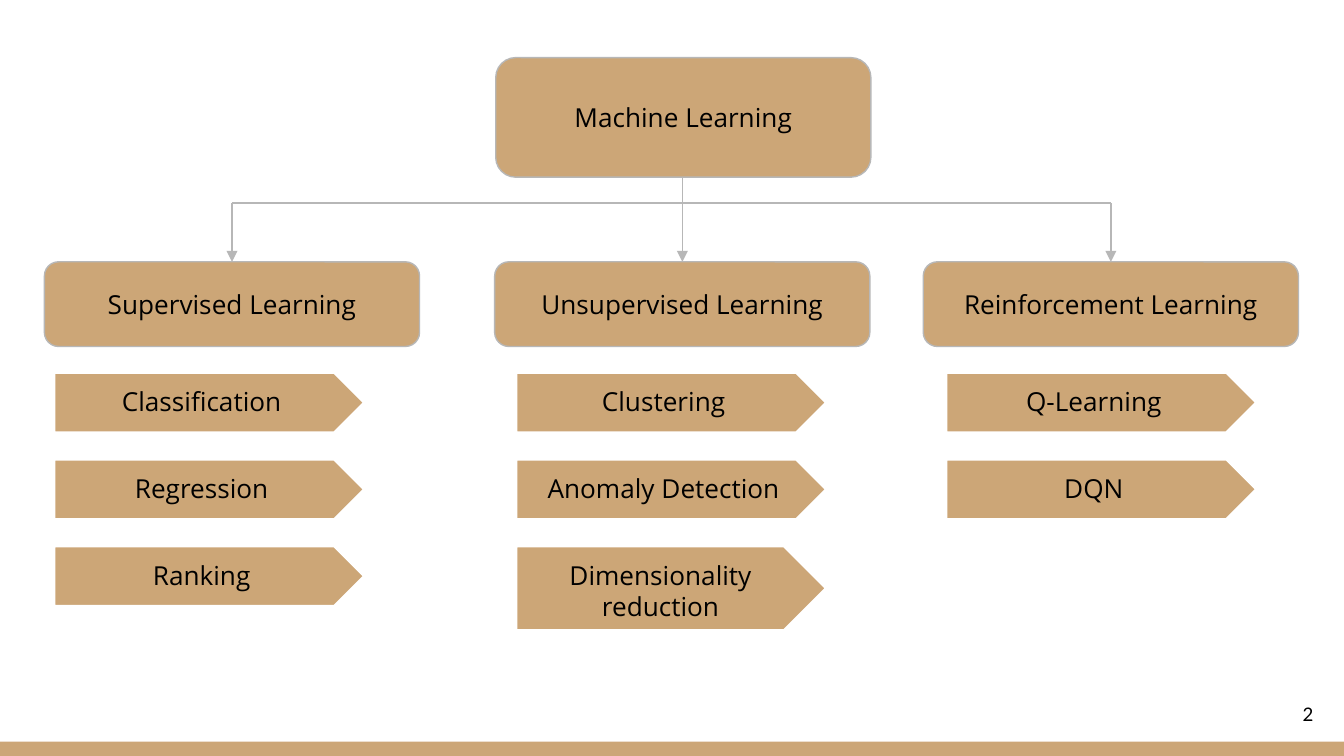
"""Build a one-slide tree of machine learning types and their tasks."""
from lxml.etree import SubElement
from pptx import Presentation
from pptx.dml.color import RGBColor
from pptx.enum.shapes import MSO_CONNECTOR, MSO_SHAPE as Shape
from pptx.enum.text import MSO_ANCHOR as Anchor, PP_ALIGN as Align
from pptx.oxml.ns import qn
from pptx.util import Cm, Pt

TAN, GREY, WHITE, BLACK = "CCA677", "B7B7B7", "FFFFFF", "000000"

ROOT = "Machine Learning"
BRANCHES = [
    ("Supervised Learning", 0.84, 1.02,
     [("Classification", 1.14), ("Regression", 1.14), ("Ranking", 1.14)]),
    ("Unsupervised Learning", 9.35, 9.75,
     [("Clustering", 1.14), ("Anomaly Detection", 1.14),
      ("Dimensionality reduction", 1.6)]),
    ("Reinforcement Learning", 17.45, 17.88,
     [("Q-Learning", 1.14), ("DQN", 1.14)]),
]
PAGE_NUMBER = "2"

PAGE_WIDTH, PAGE_HEIGHT = 25.4, 14.29
FOOTER_HEIGHT = 0.27
BOX_WIDTH = 7.09
ROOT_LEFT, ROOT_TOP, ROOT_HEIGHT = 9.37, 1.09, 2.26
BRANCH_TOP, BRANCH_HEIGHT = 4.95, 1.6
TASK_TOP, TASK_PITCH, TASK_WIDTH = 7.04, 1.64, 5.87
RAIL_TOP = 3.84


def color(value):
    return RGBColor.from_string(value)


def write(box, text, size=14, font="Open Sans", align=Align.CENTER,
          anchor=Anchor.MIDDLE):
    frame = box.text_frame
    frame.word_wrap = True
    frame.vertical_anchor = anchor
    frame.margin_left = frame.margin_right = Cm(0.25)
    frame.margin_top = frame.margin_bottom = Cm(0.25)
    para = frame.paragraphs[0]
    para.alignment = align
    span = para.add_run()
    span.text = text
    span.font.size = Pt(size)
    span.font.name = font
    span.font.color.rgb = color(BLACK)


def add_box(page, kind, left, top, width, height, line=None, weight=0.75):
    box = page.shapes.add_shape(kind, Cm(left), Cm(top), Cm(width), Cm(height))
    box.shadow.inherit = False
    box.fill.solid()
    box.fill.fore_color.rgb = color(TAN)
    if line:
        box.line.color.rgb = color(line)
        box.line.width = Pt(weight)
    else:
        box.line.fill.background()
    return box


def add_line(page, x1, y1, x2, y2, arrow=False):
    line = page.shapes.add_connector(
        MSO_CONNECTOR.STRAIGHT, Cm(x1), Cm(y1), Cm(x2), Cm(y2))
    line.line.color.rgb = color(GREY)
    line.line.width = Pt(0.75)
    if arrow:
        SubElement(line.line._get_or_add_ln(), qn("a:tailEnd"), type="triangle")
    SubElement(line._element.spPr, qn("a:effectLst"))


def add_branch(page, name, left, task_left, tasks):
    box = add_box(page, Shape.FLOWCHART_ALTERNATE_PROCESS, left, BRANCH_TOP,
                  BOX_WIDTH, BRANCH_HEIGHT, GREY)
    write(box, name)
    for row, (task, height) in enumerate(tasks):
        plate = add_box(page, Shape.PENTAGON, task_left,
                        TASK_TOP + row * TASK_PITCH, TASK_WIDTH, height,
                        WHITE, 1.5)
        write(plate, task, anchor=Anchor.TOP)


def main():
    deck = Presentation()
    deck.slide_width, deck.slide_height = Cm(PAGE_WIDTH), Cm(PAGE_HEIGHT)
    page = deck.slides.add_slide(deck.slide_layouts[6])

    add_box(page, Shape.RECTANGLE, 0, PAGE_HEIGHT - FOOTER_HEIGHT,
            PAGE_WIDTH, FOOTER_HEIGHT)
    root = add_box(page, Shape.FLOWCHART_ALTERNATE_PROCESS, ROOT_LEFT, ROOT_TOP,
                   BOX_WIDTH, ROOT_HEIGHT, GREY)
    write(root, ROOT)
    for branch in BRANCHES:
        add_branch(page, *branch)

    centers = [left + BOX_WIDTH / 2 for _, left, _, _ in BRANCHES]
    starts = [RAIL_TOP, ROOT_TOP + ROOT_HEIGHT, RAIL_TOP]
    add_line(page, centers[-1], RAIL_TOP, centers[0], RAIL_TOP)
    for center, start in zip(centers, starts):
        add_line(page, center, start, center, BRANCH_TOP, arrow=True)

    number = page.shapes.add_textbox(Cm(23.55), Cm(12.95), Cm(1.52), Cm(1.09))
    write(number, PAGE_NUMBER, 10, "Lato", Align.RIGHT)
    deck.save("out.pptx")


if __name__ == "__main__":
    main()
